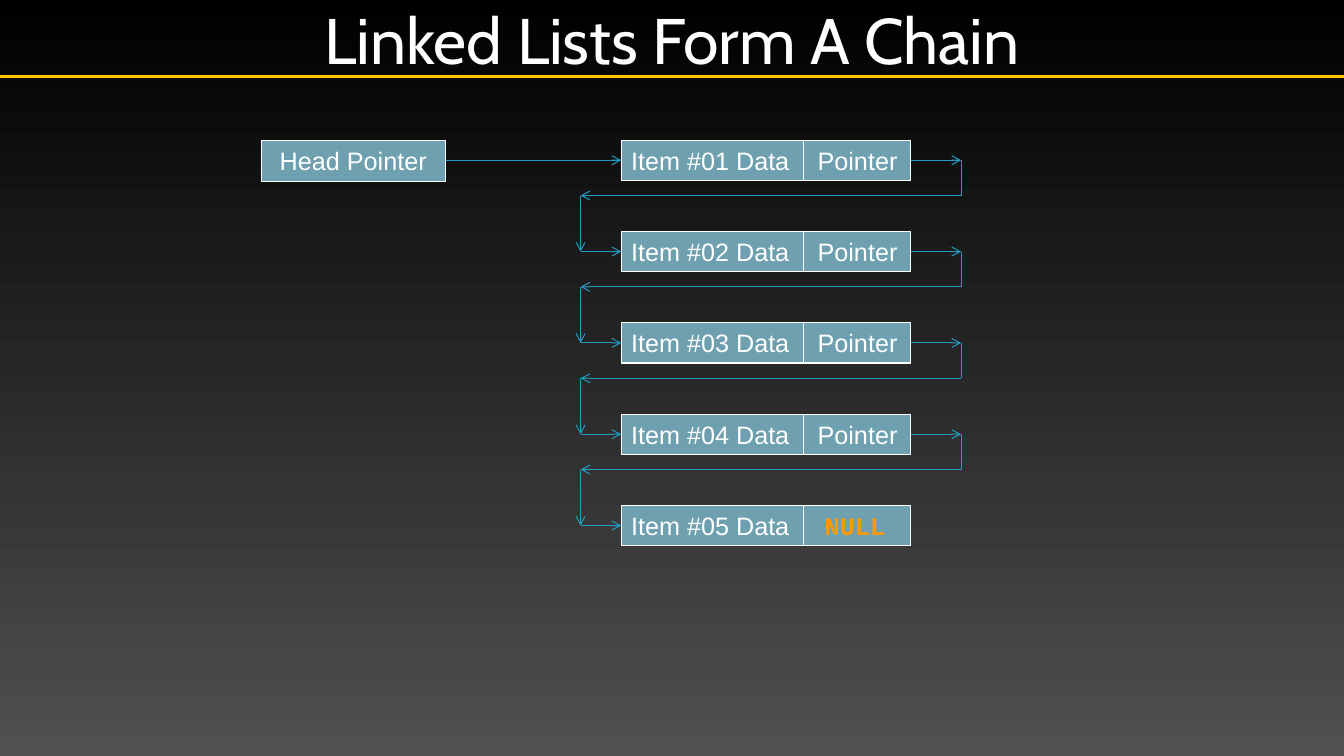
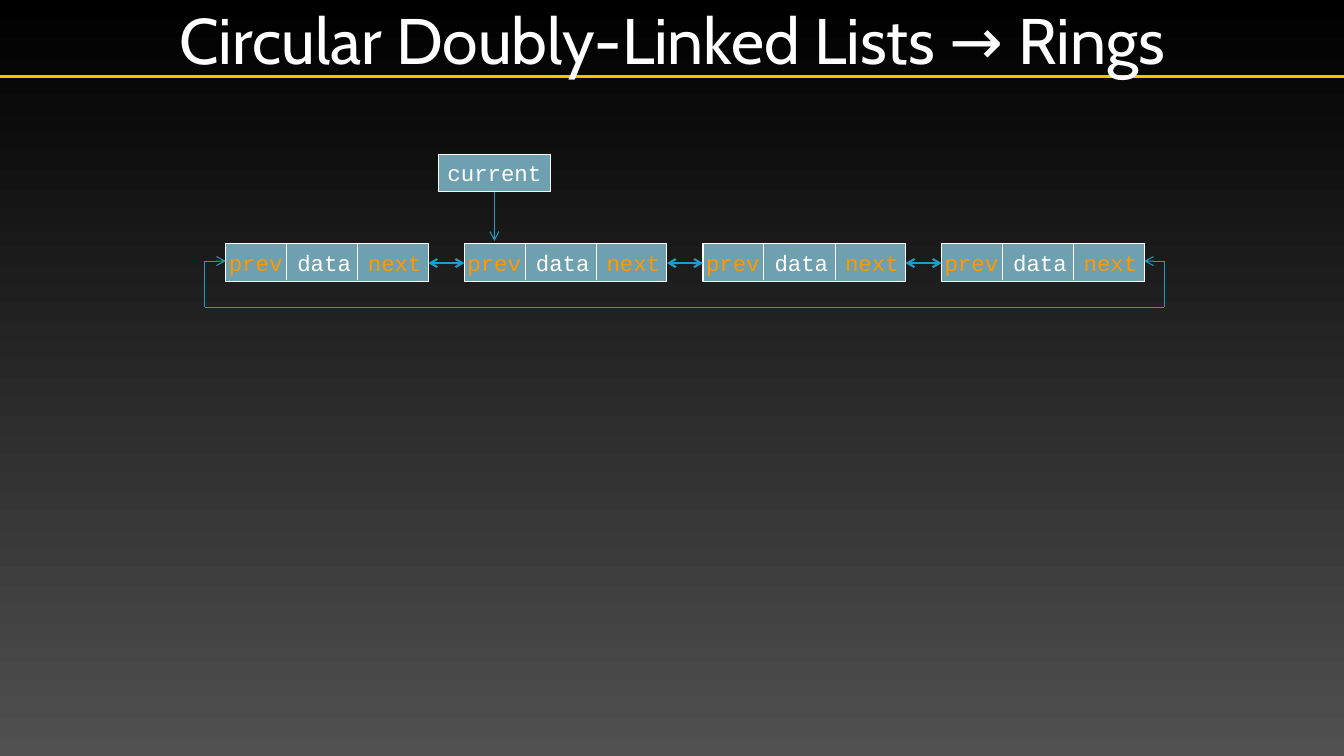
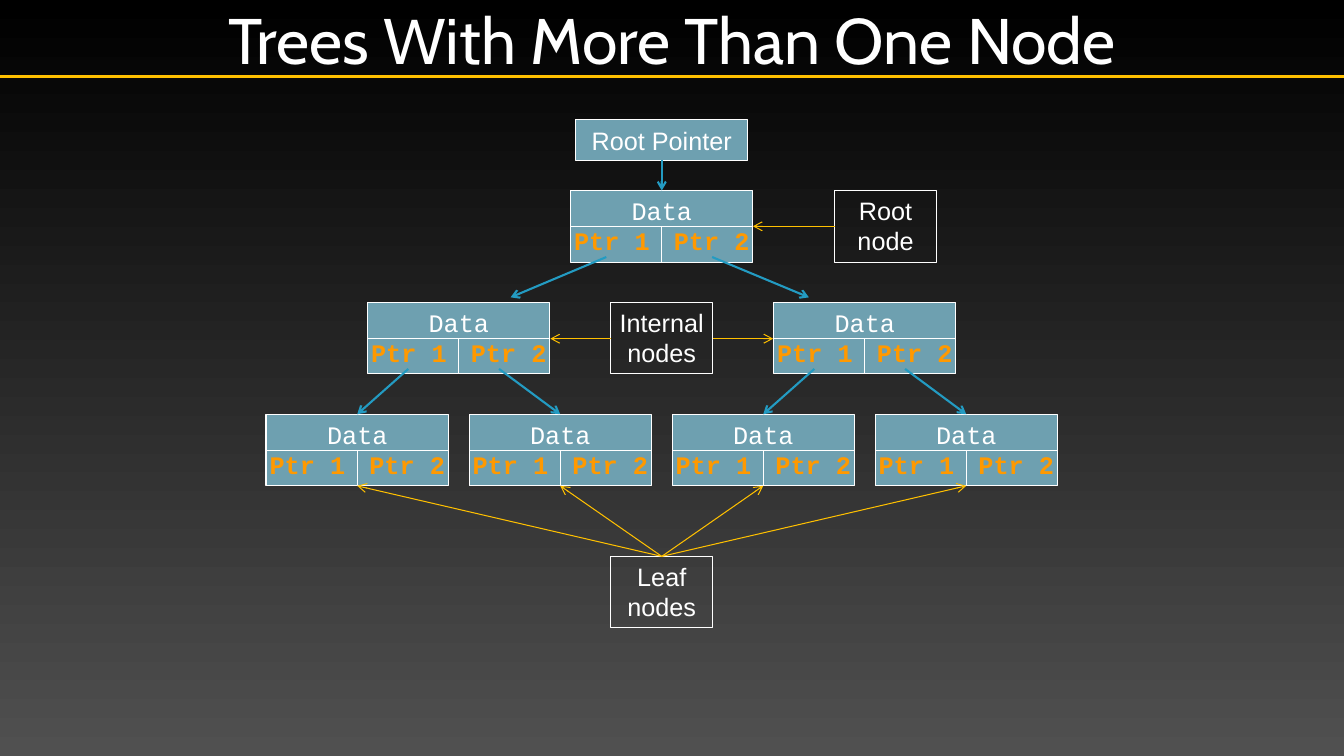
import itertools

import pptx
import pptx.dml.color
import pptx.enum.shapes
import pptx.enum.text
import pptx.oxml.ns
import pptx.util
from lxml import etree

COLORS = {
    "top": "000000", "bottom": "505050", "rule": "FFC000", "text": "FFFFFF",
    "node": "6EA0B0", "link": "239BC2", "pointer": "FF9900",
}
CELL = pptx.util.Inches(0.1)  # one column or row of the grid
COLUMNS, ROWS = 133.33, 75
ALIGN = {
    "left": pptx.enum.text.PP_ALIGN.LEFT,
    "center": pptx.enum.text.PP_ALIGN.CENTER,
}
CODE = "Courier New"
POINTER = {"font": CODE, "color": "pointer"}


def cells(*counts):
    return [round(count * CELL) for count in counts]


def rgb(name):
    return pptx.dml.color.RGBColor.from_string(COLORS[name])


def add_tag(parent, tag, **attributes):
    names = {key: str(value) for key, value in attributes.items()}
    return etree.SubElement(parent, pptx.oxml.ns.qn(tag), names)


def write(para, text, size=18, font="Arial", color="text", bold=False):
    """Add one formatted span to a paragraph."""
    span = para.add_run()
    span.text = text
    span.font.size = pptx.util.Pt(size)
    span.font.name = font
    span.font.bold = bold
    span.font.color.rgb = rgb(color)


class Deck:
    def __init__(self):
        self.deck = pptx.Presentation()
        self.deck.slide_width, self.deck.slide_height = cells(COLUMNS, ROWS)
        fill = self.deck.slide_master.background.fill
        fill.gradient()
        fill.gradient_angle = 270
        for stop, name in zip(fill.gradient_stops, ("top", "bottom")):
            stop.color.rgb = rgb(name)
        self.page = None

    def start_page(self, title):
        self.page = self.deck.slides.add_slide(self.deck.slide_layouts[5])
        box = self.page.shapes.title
        box.left, box.top, box.width, box.height = cells(16.67, 0, 100, 7.6)
        self.frame_text(box, (5, 5))
        box.text_frame.vertical_anchor = pptx.enum.text.MSO_ANCHOR.MIDDLE
        para = box.text_frame.paragraphs[0]
        para.alignment = ALIGN["center"]
        write(para, title, size=46, font="Cabin")
        rule = self.line((0, 7.6), (COLUMNS, 7.6), "rule", 2.5)
        box.element.addprevious(rule.element)

    def frame_text(self, box, margins):
        """Set the side and upright margins, in hundredths of an inch."""
        frame = box.text_frame
        frame.word_wrap = True
        frame.auto_size = pptx.enum.text.MSO_AUTO_SIZE.NONE
        frame.vertical_anchor = pptx.enum.text.MSO_ANCHOR.TOP
        side, upright = (pptx.util.Inches(margin / 100) for margin in margins)
        frame.margin_left = frame.margin_right = side
        frame.margin_top = frame.margin_bottom = upright

    def box(self, left, top, width, height, spans, fill="node",
            align="center", margins=(10, 5), tabs=()):
        """Draw a framed box; tabs are (column, kind) from its text edge."""
        box = self.page.shapes.add_shape(
            pptx.enum.shapes.MSO_SHAPE.RECTANGLE, *cells(left, top, width, height))
        box.shadow.inherit = False
        if fill:
            box.fill.solid()
            box.fill.fore_color.rgb = rgb(fill)
        else:
            box.fill.background()
        box.line.color.rgb = rgb("text")
        box.line.width = pptx.util.Pt(0.75)
        self.frame_text(box, margins)
        para = box.text_frame.paragraphs[0]
        para.alignment = ALIGN[align]
        if tabs:
            self.set_tabs(para, tabs)
        for text, style in spans:
            write(para, text, **style)
        return box

    def set_tabs(self, para, tabs):
        stops = add_tag(para._p.get_or_add_pPr(), "a:tabLst")
        for column, kind in tabs:
            add_tag(stops, "a:tab", pos=cells(column)[0], algn=kind)

    def line(self, start, end, color="link", width=0.75, head=False, tail=False):
        line = self.page.shapes.add_connector(
            pptx.enum.shapes.MSO_CONNECTOR.STRAIGHT, *cells(*start, *end))
        line.line.color.rgb = rgb(color)
        line.line.width = pptx.util.Pt(width)
        outline = line.element.spPr.find(pptx.oxml.ns.qn("a:ln"))
        if head:
            add_tag(outline, "a:headEnd", type="arrow")
        if tail:
            add_tag(outline, "a:tailEnd", type="arrow")
        add_tag(line.element.spPr, "a:effectLst")
        return line

    def route(self, points, tails):
        """Join the points with lines; tails tells which of them are arrows."""
        for (start, end), tail in zip(itertools.pairwise(points), tails):
            self.line(start, end, tail=tail)

    def tree_node(self, center, top):
        left, width, height = center - 9.05, 18.1, 7.1
        box = self.box(left, top, width, height, [("Data", {"font": CODE})],
                       margins=(0, 5))
        para = box.text_frame.add_paragraph()
        para.alignment = ALIGN["left"]
        self.set_tabs(para, [(4.1, "ctr"), (14, "ctr")])
        write(para, "\tPtr 1\tPtr 2", bold=True, **POINTER)
        middle = top + height / 2
        self.line((left, middle), (left + width, middle), "text")
        self.line((center, middle), (center, top + height), "text")

    def label(self, left, top, text, margins=(10, 5)):
        self.box(left, top, 10.1, 7.1, [(text, {})], fill=None, margins=margins)


def draw_chain(deck):
    deck.start_page("Linked Lists Form A Chain")
    left, top, width, height, pitch, count = 61.63, 13.9, 28.7, 4, 9.06, 5
    for index in range(count):
        y = top + index * pitch
        middle = y + height / 2
        last = index == count - 1
        spans = [(f"Item #{index + 1:02} Data\t", {}),
                 ("NULL", {"bold": True, **POINTER}) if last else ("Pointer", {})]
        deck.box(left, y, width, height, spans, align="left",
                 tabs=[(19.2 if last else 18.5, "l")])
        deck.line((79.75, y), (79.75, y + height), "text")
        if not last:
            turn, below = middle + 3.5, middle + pitch
            deck.route([(left + width, middle), (95.35, middle), (95.35, turn),
                        (57.6, turn), (57.6, below), (left, below)],
                       [True, False, True, True, True])
    deck.box(25.9, top, 18.3, 4.1, [("Head Pointer", {})])
    deck.line((44.2, 15.9), (left, 15.9), tail=True)


def draw_ring(deck):
    deck.start_page("Circular Doubly-Linked Lists → Rings")
    left, top, width, height, pitch, count = 22.4, 24.2, 20.1, 3.7, 23.67, 4
    code = {"font": CODE, "size": 16}
    pointer = {**POINTER, "size": 16}
    deck.box(43.5, 15.3, 11.1, 3.7, [("current", code)], margins=(5, 5))
    for index in range(count):
        x = left + index * pitch
        deck.box(x, top, width, height,
                 [("prev", pointer), ("\tdata", code), ("\tnext", pointer)],
                 align="left", margins=(3, 5), tabs=[(6.8, "l"), (13.8, "l")])
        for divider in (x + 6.05, x + 13.1):
            deck.line((divider, top), (divider, top + 3.6), "text")
        if index:
            deck.line((x - pitch + width, 26.1), (x, 26.1), width=1.5,
                      head=True, tail=True)
    deck.line((49.05, 19), (49.05, 23.9), tail=True)
    right = left + (count - 1) * pitch + width
    deck.route([(right + 2, 25.9), (right, 25.9)], [True])
    deck.route([(right + 2, 25.9), (right + 2, 30.5), (left - 2.1, 30.5),
                (left - 2.1, 25.9), (left, 25.9)], [False, False, False, True])


def draw_tree(deck):
    deck.start_page("Trees With More Than One Node")
    center, step = 65.65, 10.07
    root_top, inner_top, leaf_top = 18.9, 30, 41.1
    deck.box(57.1, 11.9, 17.1, 4, [("Root Pointer", {})])
    inner = [center + step * side for side in (-2, 2)]
    leaves = [center + step * side for side in (-3, -1, 1, 3)]
    for top, middles in ((root_top, [center]), (inner_top, inner), (leaf_top, leaves)):
        for middle in middles:
            deck.tree_node(middle, top)

    links = [((center, 15.9), (center, root_top)),
             ((center - 5.5, 25.5), (center - 15, 29.5)),
             ((center + 5, 25.5), (center + 14.6, 29.5))]
    for middle in inner:
        links += [((middle - 5, 36.6), (middle - step, leaf_top)),
                  ((middle + 4, 36.6), (middle + step, leaf_top))]
    for start, end in links:
        deck.line(start, end, width=1.5, tail=True)

    deck.label(82.8, root_top, "Root node")
    deck.label(60.6, inner_top, "Internal nodes", margins=(0, 5))
    deck.label(60.6, 55.2, "Leaf nodes")
    hints = [((82.8, 22.45), (74.7, 22.45)),
             ((60.6, 33.6), (54.6, 33.6)), ((70.7, 33.6), (76.7, 33.6))]
    hints += [((center, 55.2), (leaf, 48.2)) for leaf in leaves]
    for start, end in hints:
        deck.line(start, end, "rule", tail=True)


def main():
    deck = Deck()
    draw_chain(deck)
    draw_ring(deck)
    draw_tree(deck)
    deck.deck.save("out.pptx")


if __name__ == "__main__":
    main()
